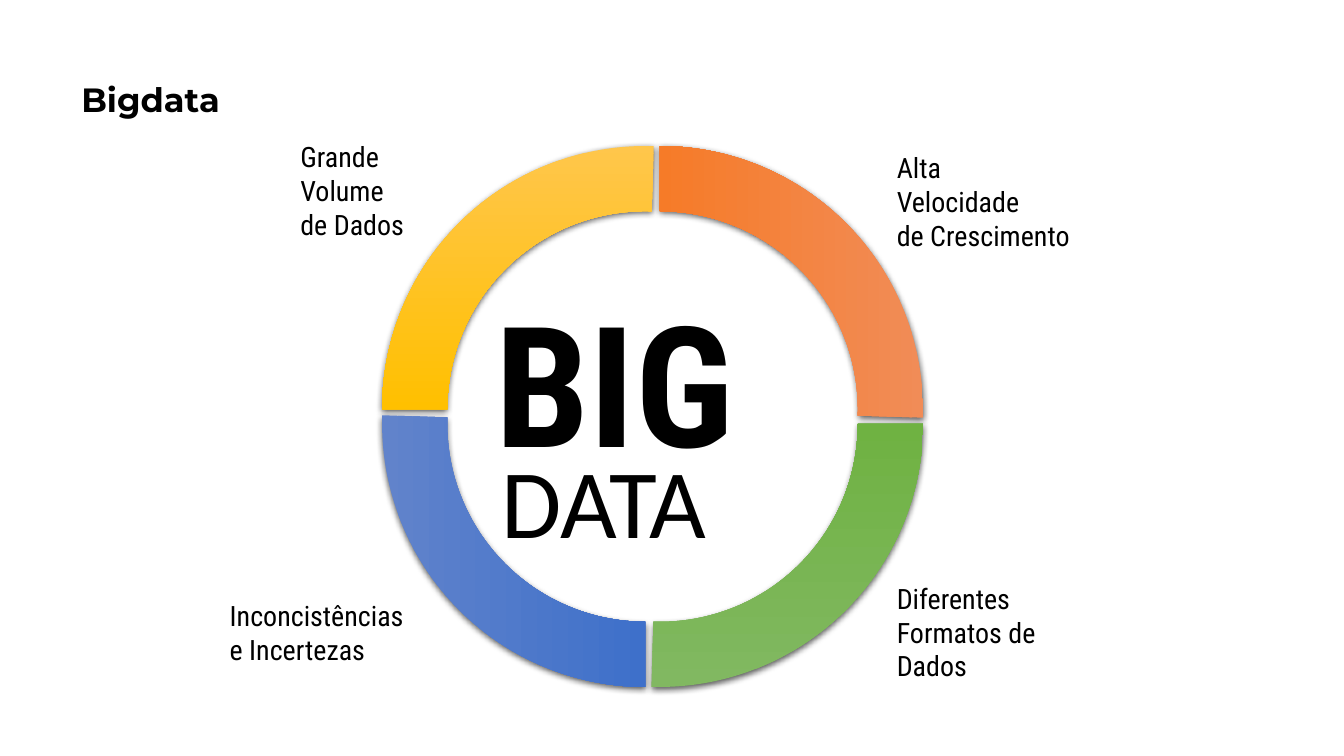
from pptx import Presentation
from pptx.dml.color import RGBColor
from pptx.enum.shapes import MSO_SHAPE
from pptx.enum.text import MSO_ANCHOR, MSO_AUTO_SIZE
from pptx.oxml import parse_xml
from pptx.oxml.ns import nsdecls, qn
from pptx.util import Cm, Pt

BLACK = "000000"
BODY = "Roboto Condensed"


def color(text):
    return RGBColor.from_string(text)


def write(slide, box, text, size, face=BODY, bold=False):
    """Place black text in a box given in centimetres."""
    frame = slide.shapes.add_textbox(*map(Cm, box)).text_frame
    frame.word_wrap = False
    frame.auto_size = MSO_AUTO_SIZE.SHAPE_TO_FIT_TEXT
    line = frame.paragraphs[0]
    line.text = text
    for run in line.runs:
        font = run.font
        font.name, font.size, font.bold = face, Pt(size), bold
        font.color.rgb = color(BLACK)
    return frame


def title(slide, box):
    frame = write(slide, box, "Bigdata", 24, "Montserrat", True)
    frame.word_wrap = True
    frame.auto_size = MSO_AUTO_SIZE.NONE
    frame.vertical_anchor = MSO_ANCHOR.MIDDLE
    frame.paragraphs[0].line_spacing = 0.9


def arc(slide, box, turn, tones):
    """Draw a quarter ring with a three-tone gradient and a soft shadow."""
    part = slide.shapes.add_shape(MSO_SHAPE.BLOCK_ARC, *map(Cm, box))
    part.rotation = turn
    for i, value in enumerate((108, 163.12, 0.124)):
        part.adjustments[i] = value
    part.line.fill.background()
    part.shadow.inherit = False

    # Gradient from top to bottom, turning with the arc
    stops = "".join(
        f'<a:gs pos="{i * 50000}"><a:srgbClr val="{tone}"/></a:gs>'
        for i, tone in enumerate(tones))
    props = part.element.spPr
    props.find(qn("a:prstGeom")).addnext(parse_xml(
        f'<a:gradFill {nsdecls("a")} rotWithShape="1"><a:gsLst>{stops}</a:gsLst>'
        '<a:lin ang="5400000" scaled="0"/></a:gradFill>'))

    # Shadow straight below
    props.find(qn("a:effectLst")).append(parse_xml(
        f'<a:outerShdw {nsdecls("a")} blurRad="{Pt(4.5)}" dist="{Pt(1.5)}" '
        'dir="5400000" algn="ctr" rotWithShape="0">'
        f'<a:srgbClr val="{BLACK}"><a:alpha val="63000"/></a:srgbClr>'
        '</a:outerShdw>'))


def ring(slide, left, top, size, gap):
    """Set four arcs clockwise from the top left, parted by a gap."""
    parts = (
        (0, 0, ("FFC64B", "FFC000", "E3AB00")),
        (1, 0, ("F18C57", "F67B28", "E56C19")),
        (1, 1, ("81B861", "6FB242", "62A336")),
        (0, 1, ("6183CB", "3E70CA", "3062BB")),
    )
    for i, (col, row, tones) in enumerate(parts):
        box = (left + col * gap, top + row * gap, size, size)
        arc(slide, box, i * 90, tones)


def labels(slide, left, top):
    """Place the four traits around the ring, offset from its corner."""
    for x, y, wide, high, text in (
        (-2.31, -0.28, 3.68, 2.82, "Grande\nVolume\nde Dados"),
        (12.72, 0, 5.79, 2.82, "Alta\nVelocidade\nde Crescimento"),
        (12.72, 10.85, 4.72, 2.82, "Diferentes\nFormatos de\nDados"),
        (-4.09, 11.28, 5.72, 1.96, "Inconcistências\ne Incertezas"),
    ):
        write(slide, (left + x, top + y, wide, high), text, 20)


def center(slide, left, top):
    write(slide, (left + 2.61, top + 3.25, 8.03, 5.38), "BIG", 120, bold=True)
    write(slide, (left + 2.77, top + 7.29, 7.75, 3.25), "DATA", 70, "Calibri")


def main():
    deck = Presentation()
    deck.slide_width, deck.slide_height = Cm(33.87), Cm(19.05)
    slide = deck.slides.add_slide(deck.slide_layouts[6])
    left, top = 9.63, 3.68
    title(slide, (1.8, 0.71, 29.21, 3.68))
    ring(slide, left, top, 13.26, 0.37)
    labels(slide, left, top)
    center(slide, left, top)
    deck.save("out.pptx")


if __name__ == "__main__":
    main()
